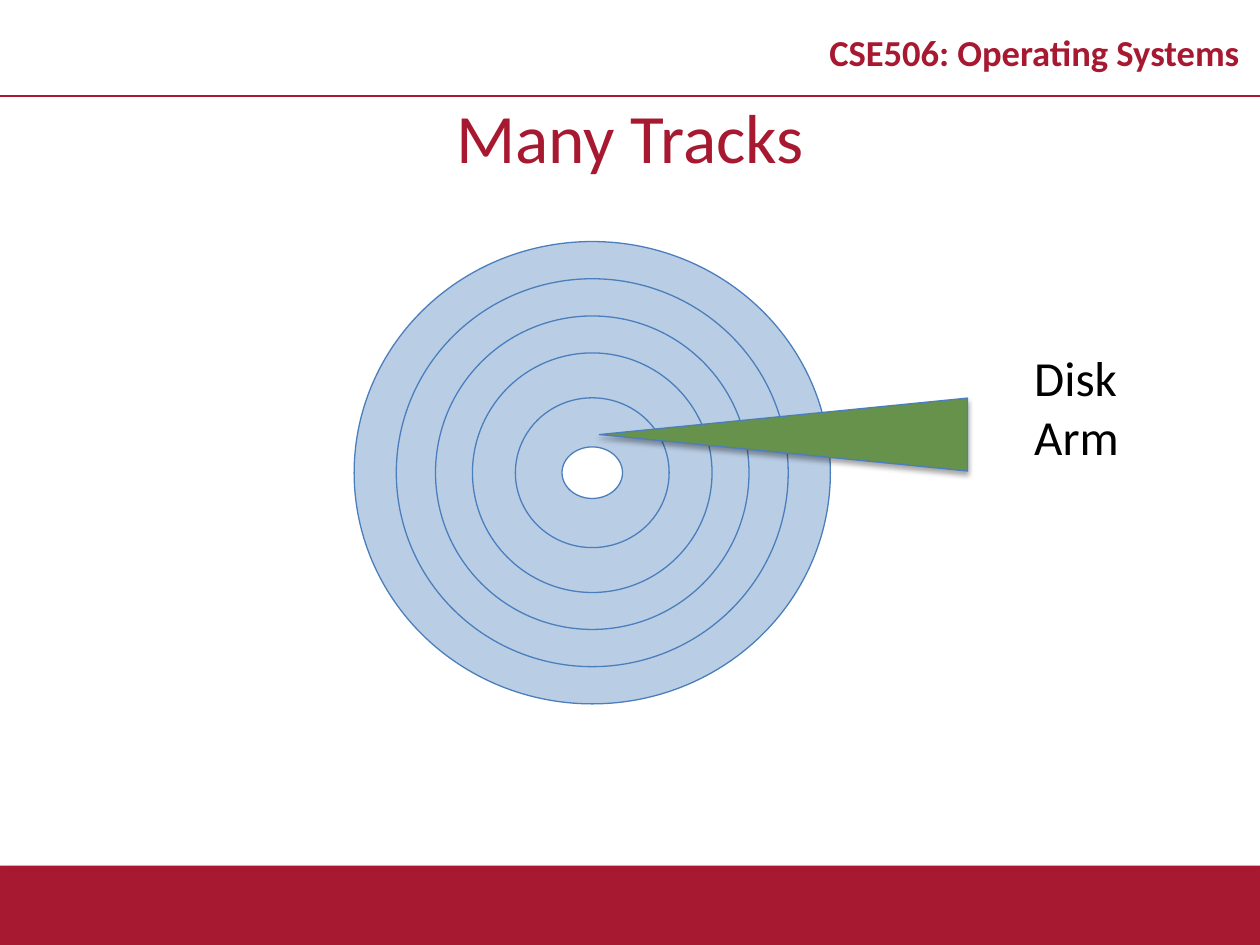
from lxml import etree
from pptx import Presentation
from pptx.dml.color import RGBColor
from pptx.enum import shapes, text
from pptx.oxml.ns import qn
from pptx.util import Cm, Pt

CRIMSON, TRACK, OUTLINE, GREEN = "A71930", "B9CDE5", "4B7EBC", "67924B"


def color(hex_value):
    """Turn a hex string into a colour."""
    return RGBColor.from_string(hex_value)


def write(frame, lines, size, hue="000000", bold=False, align=text.PP_ALIGN.LEFT,
          anchor=text.MSO_ANCHOR.TOP, wrap=True, spacing=None,
          fit=text.MSO_AUTO_SIZE.NONE):
    """Fill a text frame with formatted paragraphs."""
    frame.text = "\n".join(lines)
    frame.auto_size = fit
    frame.word_wrap = wrap
    frame.vertical_anchor = anchor
    for paragraph in frame.paragraphs:
        paragraph.alignment = align
        paragraph.line_spacing = spacing
        for run in paragraph.runs:
            run.font.name = "Calibri"
            run.font.size = Pt(size)
            run.font.bold = bold
            run.font.color.rgb = color(hue)


def soft_shadow(shape):
    """Give a shape a faint shadow falling straight down."""
    effects = shape._element.spPr.find(qn("a:effectLst"))
    outer = etree.SubElement(effects, qn("a:outerShdw"), blurRad="40000",
                             dist="23000", dir="5400000", rotWithShape="0")
    black = etree.SubElement(outer, qn("a:srgbClr"), val="000000")
    etree.SubElement(black, qn("a:alpha"), val="35000")


class SlideBuilder:
    """Holds the slide and draws its elements in one style."""

    def __init__(self, slide):
        self.slide = slide

    def title(self, words, box):
        """Place and format the title placeholder."""
        title = self.slide.shapes.title
        title.left, title.top, title.width, title.height = map(Cm, box)
        write(title.text_frame, [words], 39.6, CRIMSON,
              align=text.PP_ALIGN.CENTER, anchor=text.MSO_ANCHOR.MIDDLE)

    def label(self, lines, box, size, **style):
        """Add a text box."""
        label = self.slide.shapes.add_textbox(*map(Cm, box))
        write(label.text_frame, lines, size, **style)

    def shape(self, kind, box, fill, outline=OUTLINE, shadow=False, rotation=0):
        """Add a filled preset shape."""
        shape = self.slide.shapes.add_shape(kind, *map(Cm, box))
        shape.rotation = rotation
        shape.fill.solid()
        shape.fill.fore_color.rgb = color(fill)
        if outline:
            shape.line.color.rgb = color(outline)
            shape.line.width = Pt(0.75)
        else:
            shape.line.fill.background()
        shape.shadow.inherit = False
        if shadow:
            soft_shadow(shape)

    def rule(self, y, width):
        """Add a horizontal line from the left edge."""
        rule = self.slide.shapes.add_connector(
            shapes.MSO_CONNECTOR.STRAIGHT, 0, Cm(y), Cm(width), Cm(y))
        rule.line.color.rgb = color(CRIMSON)
        rule.line.width = Pt(1)
        etree.SubElement(rule._element.spPr, qn("a:effectLst"))

    def ring(self, center, size, fill):
        """Add an ellipse around a centre."""
        (x, y), (width, height) = center, size
        self.shape(shapes.MSO_SHAPE.OVAL,
                   (x - width / 2, y - height / 2, width, height), fill)


deck = Presentation()
deck.slide_width, deck.slide_height = Cm(25.4), Cm(19.05)
page = SlideBuilder(deck.slides.add_slide(deck.slide_layouts[5]))

page.shape(shapes.MSO_SHAPE.RECTANGLE, (0, 17.45, 25.4, 1.6), CRIMSON,
           outline=None, shadow=True)
page.rule(1.93, 25.4)
page.label(["CSE506: Operating Systems"], (16.31, 0.33, 9.09, 1.6), 20.9,
           hue=CRIMSON, bold=True, align=text.PP_ALIGN.CENTER,
           anchor=text.MSO_ANCHOR.MIDDLE, spacing=0.8)
page.title("Many Tracks", (0, 1.93, 25.4, 1.6))

disk_center = (11.94, 9.53)
track_sizes = [(9.6, 9.32), (7.9, 7.82), (6.32, 6.32), (4.83, 4.83), (3.1, 3.02)]
for track_size in track_sizes:
    page.ring(disk_center, track_size, TRACK)
page.ring(disk_center, (1.22, 1.04), "FFFFFF")

page.shape(shapes.MSO_SHAPE.ISOSCELES_TRIANGLE, (15.06, 5.05, 1.47, 7.42), GREEN,
           shadow=True, rotation=270)
page.label(["Disk", "Arm"], (20.6, 6.88, 2.24, 2.64), 28, wrap=False,
           fit=text.MSO_AUTO_SIZE.SHAPE_TO_FIT_TEXT)

deck.save("out.pptx")
